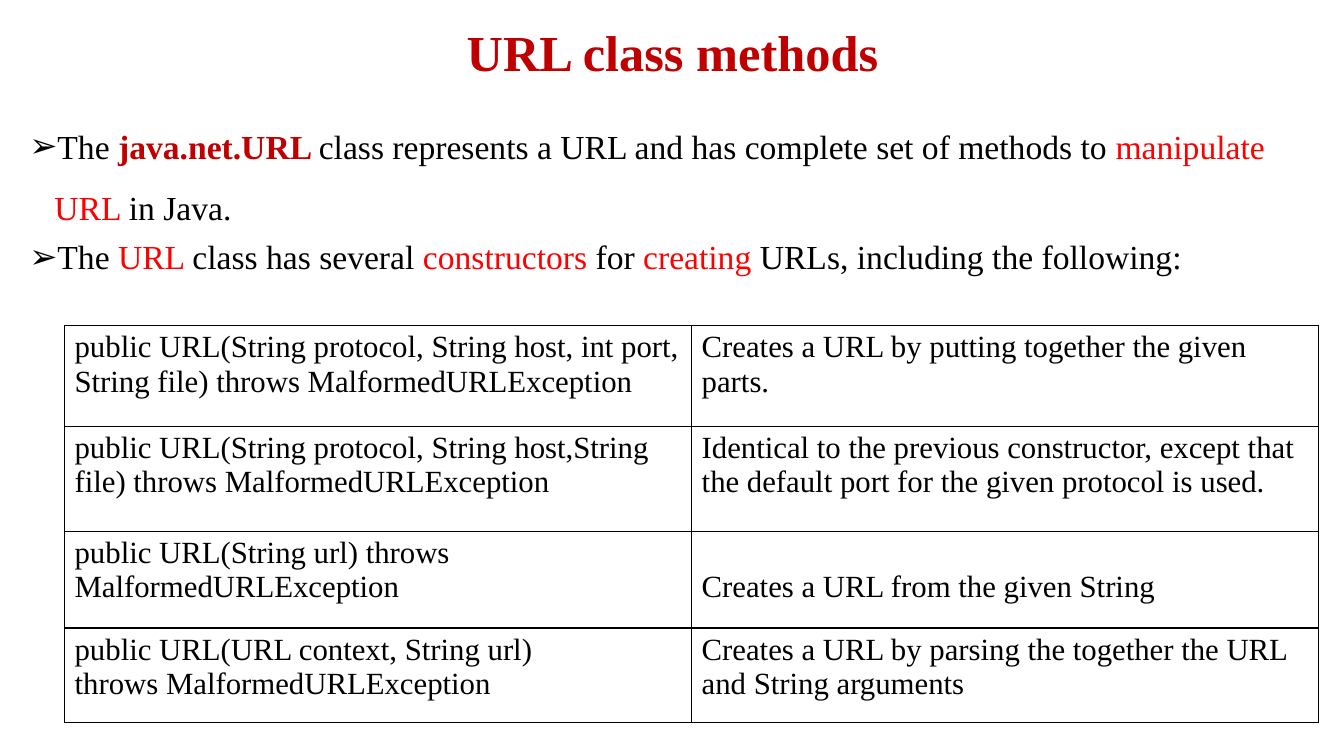
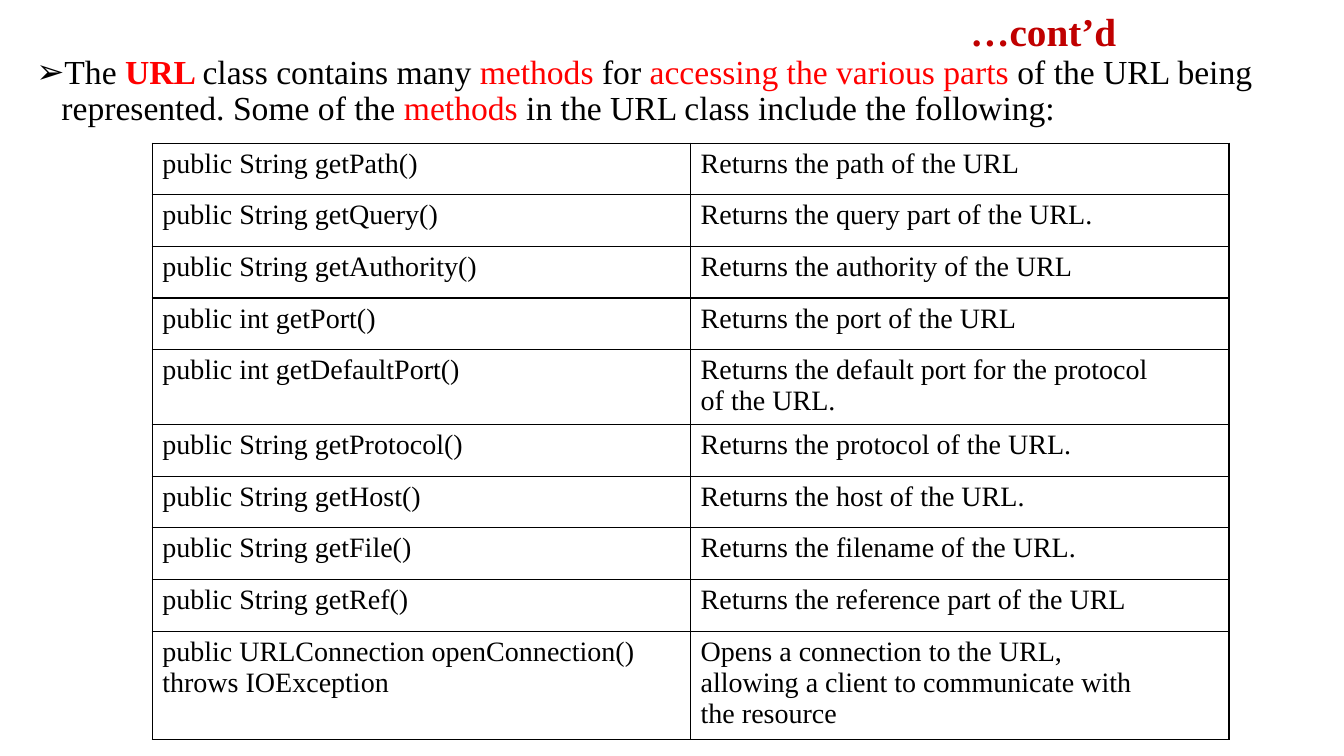
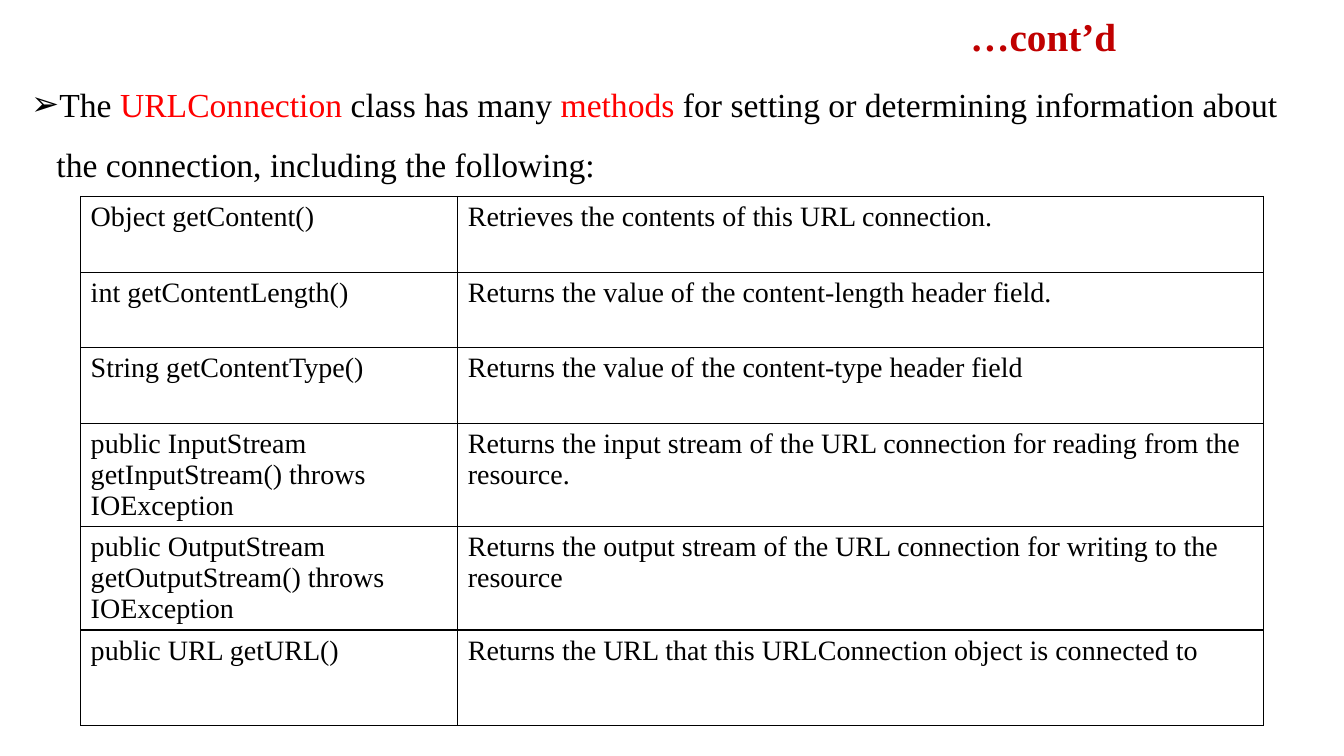
import lxml.etree
import pptx
import pptx.dml.color
import pptx.enum.text
import pptx.oxml
import pptx.oxml.ns
import pptx.util

Inches = pptx.util.Inches
Align = pptx.enum.text.PP_ALIGN
Anchor = pptx.enum.text.MSO_ANCHOR
FONT = "Times New Roman"
BLACK, RED, CRIMSON = "000000", "FF0000", "C00000"
NAMESPACE = pptx.oxml.ns.nsdecls("a")

CONSTRUCTORS = [
    (1, "public URL(String protocol, String host, int port, String file) throws MalformedURLException",
     "Creates a URL by putting together the given parts."),
    (1.04, "public URL(String protocol, String host,String file) throws MalformedURLException",
     "Identical to the previous constructor, except that the default port for the given protocol is used."),
    (0.96, "public URL(String url) throws MalformedURLException",
     "Creates a URL from the given String"),
    (0.94, "public URL(URL context, String url)\nthrows MalformedURLException",
     "Creates a URL by parsing the together the URL and String arguments"),
]
URL_METHODS = [
    (0.51, "public String getPath()", "Returns the path of the URL"),
    (0.51, "public String getQuery()", "Returns the query part of the URL."),
    (0.51, "public String getAuthority()", "Returns the authority of the URL"),
    (0.51, "public int getPort()", "Returns the port of the URL"),
    (0.74, "public int getDefaultPort()", "Returns the default port for the protocol\nof the URL."),
    (0.51, "public String getProtocol()", "Returns the protocol of the URL."),
    (0.51, "public String getHost()", "Returns the host of the URL."),
    (0.51, "public String getFile()", "Returns the filename of the URL."),
    (0.51, "public String getRef()", "Returns the reference part of the URL"),
    (1.07, "public URLConnection openConnection() throws IOException",
     "Opens a connection to the URL,\nallowing a client to communicate with\nthe resource"),
]
CONNECTION_METHODS = [
    (0.75, "Object getContent()", "Retrieves the contents of this URL connection."),
    (0.75, "int getContentLength()", "Returns the value of the content-length header field."),
    (0.75, "String getContentType()", "Returns the value of the content-type header field"),
    (0.95, "public InputStream\ngetInputStream() throws\nIOException",
     "Returns the input stream of the URL connection for reading from the resource."),
    (0.95, "public OutputStream\ngetOutputStream() throws\nIOException",
     "Returns the output stream of the URL connection for writing to the resource"),
    (0.95, "public URL getURL()", "Returns the URL that this URLConnection object is connected to"),
]


def add_span(para, text, size, color=BLACK, bold=False):
    """Add one formatted run to a paragraph."""
    span = para.add_run()
    span.text = text
    span.font.name = FONT
    span.font.size = pptx.util.Pt(size)
    span.font.bold = bold
    span.font.color.rgb = pptx.dml.color.RGBColor.from_string(color)


def place(shape, box):
    """Move a placeholder to a box in inches and stop it resizing its text."""
    shape.left, shape.top, shape.width, shape.height = map(Inches, box)
    shape.text_frame.word_wrap = True
    shape.text_frame.auto_size = pptx.enum.text.MSO_AUTO_SIZE.NONE


def fill_title(page, box, text, size, align):
    """Write the crimson slide title."""
    title = page.shapes.title
    place(title, box)
    title.text_frame.vertical_anchor = Anchor.MIDDLE
    para = title.text_frame.paragraphs[0]
    para.alignment = align
    para.line_spacing = 0.9
    add_span(para, text, size, CRIMSON, True)


def fill_body(page, box, bullets):
    """Write arrow bullets given as line spacing and formatted spans."""
    body = page.placeholders[1]
    place(body, box)
    frame = body.text_frame
    for index, (spacing, spans) in enumerate(bullets):
        para = frame.add_paragraph() if index else frame.paragraphs[0]
        para.line_spacing = spacing
        para.space_before = pptx.util.Pt(10)
        properties = para._p.get_or_add_pPr()
        properties.set("marL", str(Inches(0.25)))
        properties.set("indent", str(-Inches(0.25)))
        properties.append(pptx.oxml.parse_xml(f'<a:buChar {NAMESPACE} char="➢"/>'))
        for span in spans:
            add_span(para, span[0], 24, *span[1:])


def fill_cell(cell, text, size):
    """Write a cell without fill and with thin black borders."""
    properties = cell._tc.get_or_add_tcPr()
    for side in ("lnL", "lnR", "lnT", "lnB"):
        properties.append(pptx.oxml.parse_xml(
            f'<a:{side} {NAMESPACE} w="{pptx.util.Pt(1)}"><a:solidFill>'
            f'<a:srgbClr val="{BLACK}"/></a:solidFill></a:{side}>'))
    cell.fill.background()
    for index, line in enumerate(text.split("\n")):
        frame = cell.text_frame
        para = frame.add_paragraph() if index else frame.paragraphs[0]
        add_span(para, line, size)


def add_methods(page, box, columns, rows, size):
    """Add a two-column method table whose rows share the box height."""
    table = page.shapes.add_table(len(rows), len(columns), *map(Inches, box)).table
    table.first_row = table.horz_banding = False
    for column, width in zip(table.columns, columns):
        column.width = Inches(width)
    scale = box[3] / sum(row[0] for row in rows)
    for index, (height, *texts) in enumerate(rows):
        table.rows[index].height = Inches(height * scale)
        for position, text in enumerate(texts):
            fill_cell(table.cell(index, position), text, size)
    return table


def add_page(deck):
    """Add a title and content slide."""
    return deck.slides.add_slide(deck.slide_layouts[1])


def build_constructors(deck):
    """Build the slide on URL constructors."""
    page = add_page(deck)
    fill_title(page, (2.17, 0.17, 9, 0.75), "URL class methods", 36, Align.CENTER)
    fill_body(page, (0.19, 1, 12.9, 6.33), [
        (1.5, [("The ",), ("java.net.URL ", CRIMSON, True),
               ("class represents a URL and has complete set of methods to ",),
               ("manipulate URL ", RED), ("in Java.",)]),
        (0.9, [("The",), (" URL ", RED), ("class has several ",), ("constructors ", RED),
               ("for ",), ("creating", RED), (" URLs, including the following:",)]),
    ])
    table = add_methods(page, (0.64, 3.23, 12.44, 3.94), (6.22, 6.22), CONSTRUCTORS, 22)
    table.cell(2, 1).margin_top = Inches(0.39)


def build_url_methods(deck):
    """Build the slide on URL methods."""
    page = add_page(deck)
    fill_title(page, (2.17, 0.17, 9, 0.33), "…cont’d", 28, Align.RIGHT)
    fill_body(page, (0.26, 0.5, 12.81, 6.83), [
        (0.9, [("The",), (" URL ", RED, True), ("class contains many ",), ("methods", RED),
               (" for ",), ("accessing the various parts ", RED),
               ("of the URL being represented. Some of the ",), ("methods", RED),
               (" in the URL class include the following:",)]),
    ])
    add_methods(page, (1.51, 1.42, 10.69, 5.92), (5.34, 5.34), URL_METHODS, 20)


def build_connection_methods(deck):
    """Build the slide on URLConnection methods."""
    page = add_page(deck)
    fill_title(page, (2.17, 0.17, 9, 0.42), "…cont’d", 28, Align.RIGHT)
    fill_body(page, (0.21, 0.58, 12.86, 6.58), [
        (1.5, [("The ",), ("URLConnection", RED), (" class has many ",), ("methods", RED),
               (" for setting or determining information about the connection, including the following:",)]),
    ])
    add_methods(page, (0.8, 1.95, 11.73, 5.1), (3.74, 7.99), CONNECTION_METHODS, 20)


def main():
    """Build and save the deck."""
    deck = pptx.Presentation()
    deck.slide_width, deck.slide_height = Inches(13.33), Inches(7.5)
    build_constructors(deck)
    build_url_methods(deck)
    build_connection_methods(deck)
    deck.save("out.pptx")


if __name__ == "__main__":
    main()
